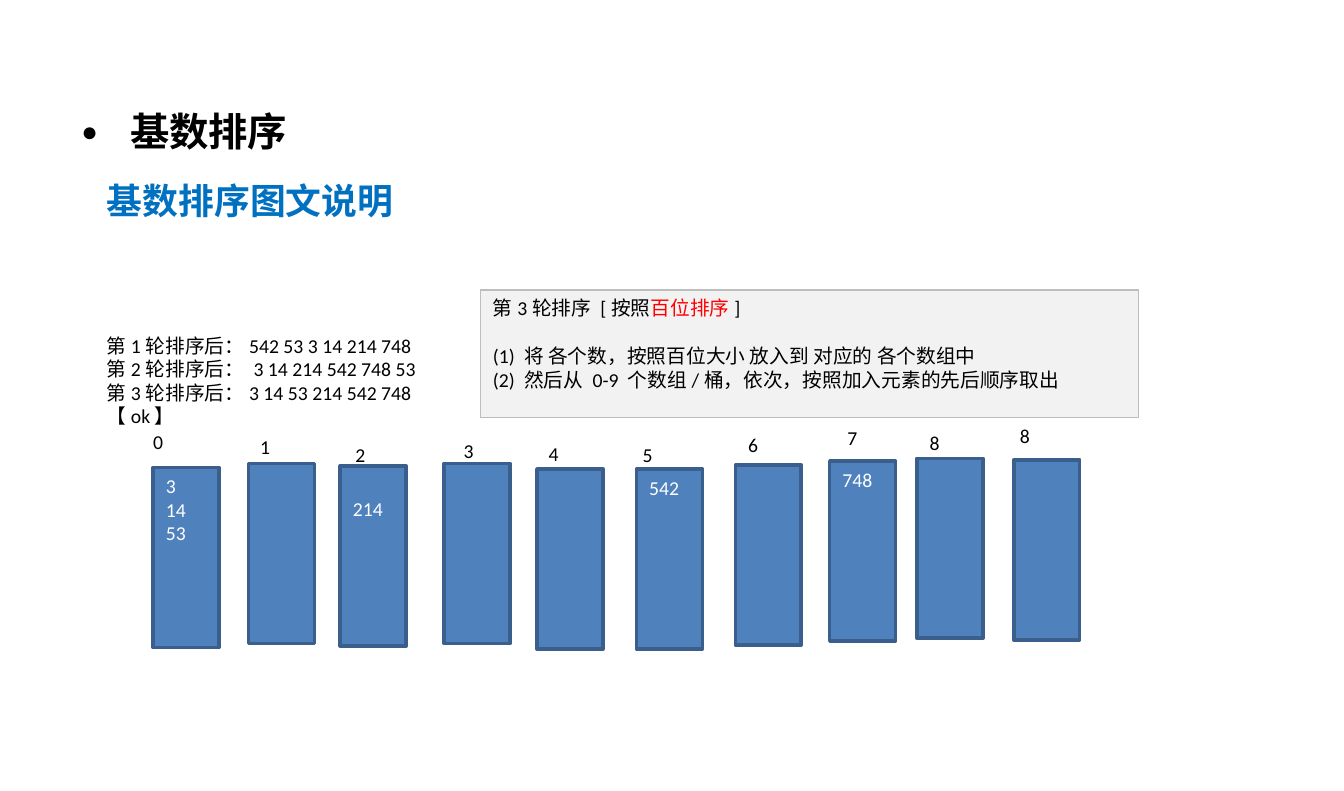
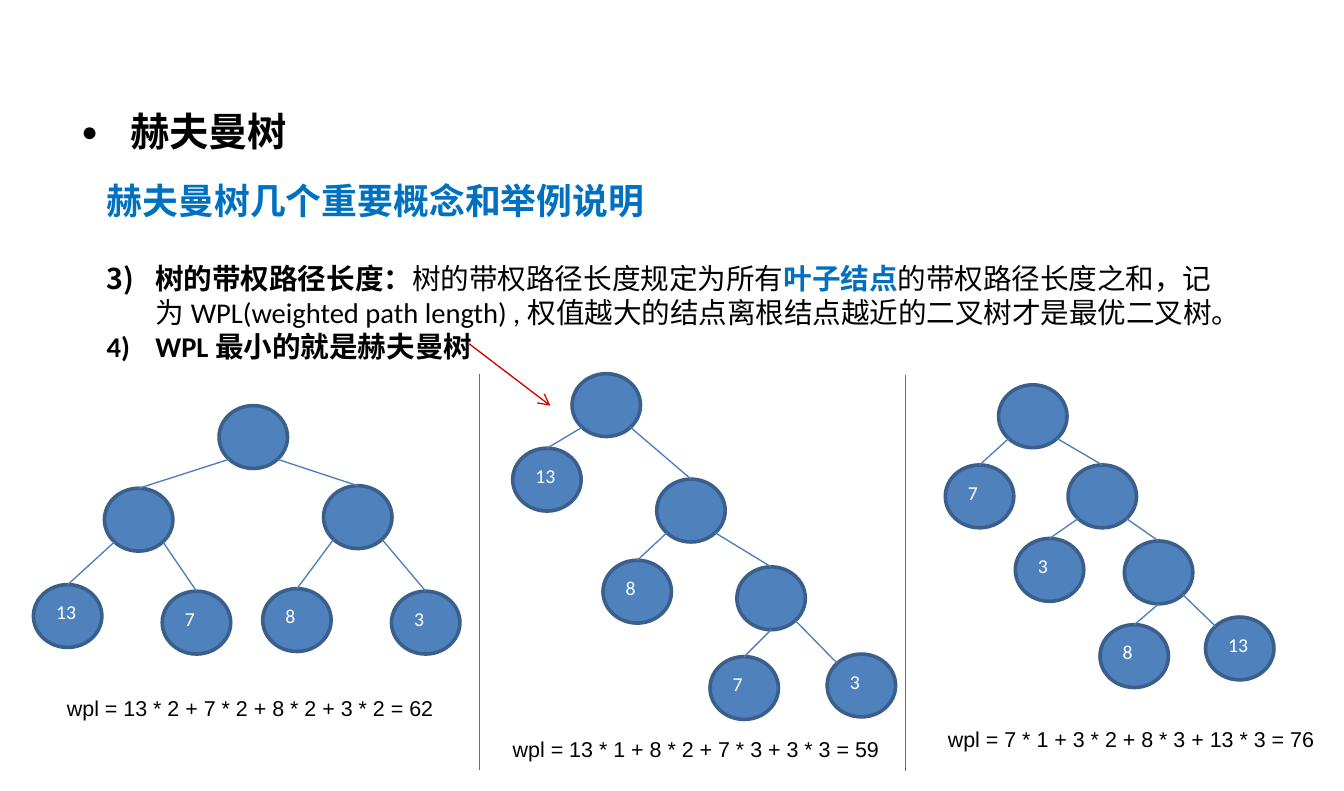
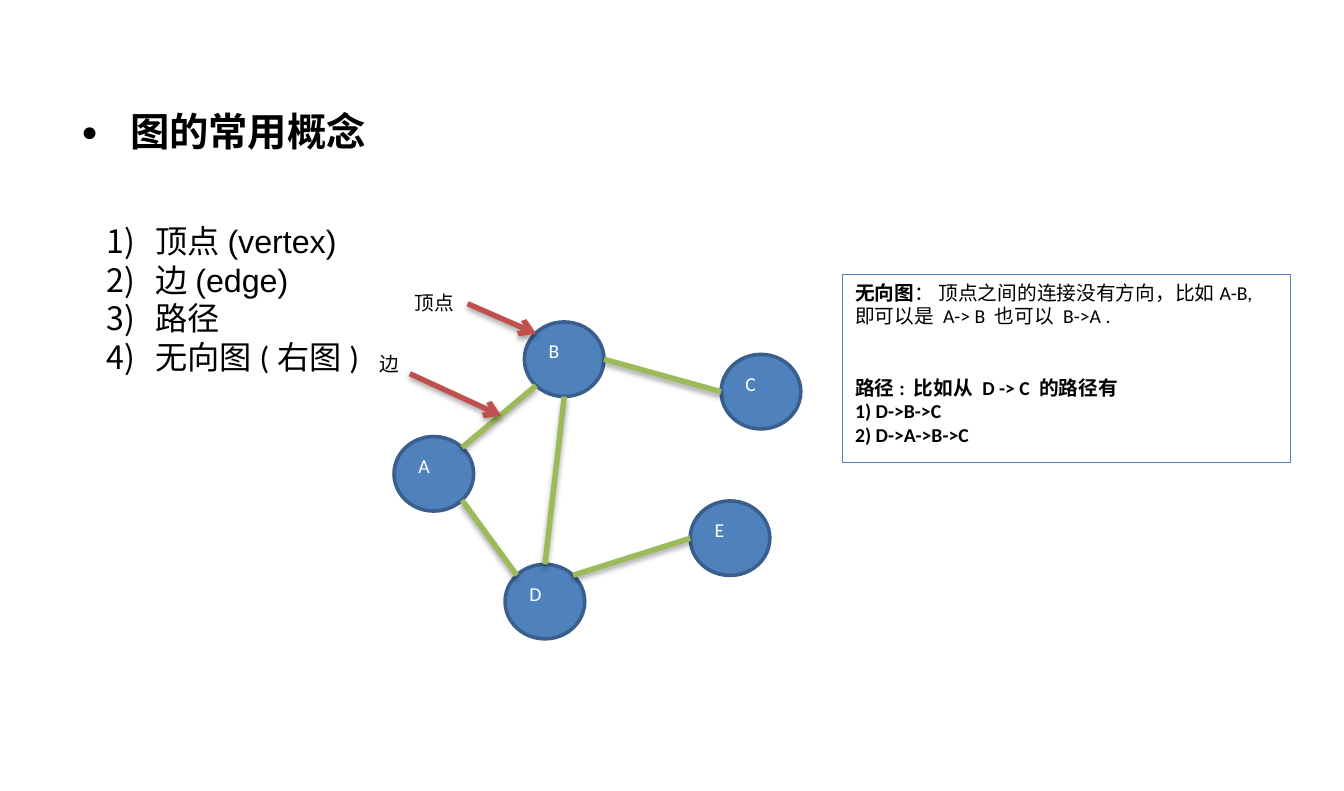
from math import cos, sin, radians

from lxml import etree
from pptx import Presentation
from pptx.dml.color import RGBColor as RGB
from pptx.enum.shapes import MSO_CONNECTOR as Link, MSO_SHAPE as Kind
from pptx.enum.text import MSO_ANCHOR as Anchor, MSO_AUTO_SIZE as Fit, PP_ALIGN as Align
from pptx.oxml import parse_xml
from pptx.oxml.ns import qn
from pptx.util import Cm, Pt

# Colours and fonts
BLACK, WHITE = RGB(0, 0, 0), RGB(255, 255, 255)
BLUE, RED = RGB(0x00, 0x70, 0xC0), RGB(0xFF, 0x00, 0x00)
FILL, EDGE = RGB(0x4F, 0x81, 0xBD), RGB(0x3A, 0x5F, 0x8C)
BRANCH, RULE = RGB(0x4B, 0x7E, 0xBC), RGB(0xBF, 0x4C, 0x48)
POINT, GREEN, BRICK = RGB(0xDA, 0, 0), RGB(0x9B, 0xBB, 0x59), RGB(0xC0, 0x50, 0x4D)
PALE, GREY = RGB(0xF2, 0xF2, 0xF2), RGB(0xBD, 0xBD, 0xBD)
SANS, TEXT = "Arial", "Calibri"
NS = 'xmlns:a="http://schemas.openxmlformats.org/drawingml/2006/main"'

# Sites on an ellipse, as angles clockwise from the right
TOP, TOP_L, LEFT, LOW_L, LOW, LOW_R, RIGHT, TOP_R = 270, 225, 180, 135, 90, 45, 0, 315

# Slide 1: radix sort; bucket = label, label place, box place, numbers
BUCKET = (1.3, 3.55)
BUCKETS = [
    ("0", (2.77, 8.36), (3.02, 9.22), ["3", "14", "53"]),
    ("1", (4.88, 8.46), (4.9, 9.14), []),
    ("2", (6.76, 8.61), (6.71, 9.19), ["214"]),
    ("3", (8.89, 8.53), (8.76, 9.14), []),
    ("4", (10.57, 8.59), (10.59, 9.25), []),
    ("5", (12.42, 8.61), (12.55, 9.25), ["542"]),
    ("6", (14.5, 8.41), (14.5, 9.17), []),
    ("7", (16.46, 8.28), (16.36, 9.09), ["748"]),
    ("8", (18.08, 8.38), (18.08, 9.04), []),
    ("8", (19.86, 8.23), (19.99, 9.07), []),
]
LOWER = {"2": 0.6}  # top inset of a bucket whose numbers start lower
STEPS = [
    [("第3轮排序 [按照",), ("百位排序", RED), ("]",)],
    "(1) 将 各个数，按照百位大小 放入到 对应的 各个数组中",
    "(2) 然后从 0-9 个数组/桶，依次，按照加入元素的先后顺序取出",
]
ROUNDS = [
    "第1轮排序后：542 53 3 14 214 748",
    "第2轮排序后： 3 14 214 542 748 53",
    "第3轮排序后：3 14 53 214 542 748 【ok】",
]

# Slide 2: Huffman trees; node = place, weight, (parent, site there, site here)
IDEAS = [
    [("树的带权路径长度：", BLACK, True), ("树的带权路径长度规定为所有",),
     ("叶子结点", BLUE, True),
     ("的带权路径长度之和，记为WPL(weighted path length) ,权值越大的结点离根结点越近的二叉树才是最优二叉树。",)],
    [("WPL最小的就是赫夫曼树", BLACK, True)],
]
NODE = (1.35, 1.24)
TREES = [
    [((4.32, 8), "", None),
     ((2.06, 9.63), "", (0, LOW_L, TOP)), ((6.38, 9.58), "", (0, LOW_R, TOP)),
     ((0.66, 11.53), "13", (1, LOW_L, TOP)), ((3.2, 11.66), "7", (1, LOW_R, TOP)),
     ((5.18, 11.61), "8", (2, LOW_L, TOP)), ((7.72, 11.66), "3", (2, LOW_R, TOP))],
    [((11.28, 7.37), "", None),
     ((10.11, 8.84), "13", (0, LOW_L, TOP)), ((12.95, 9.45), "", (0, LOW_R, TOP)),
     ((11.89, 11.05), "8", (2, LOW_L, TOP)), ((14.53, 11.18), "", (2, LOW_R, TOP)),
     ((14, 12.95), "7", (4, LOW, TOP)), ((16.31, 12.9), "3", (4, LOW_R, TOP_L))],
    [((19.69, 7.59), "", None),
     ((18.64, 9.17), "7", (0, LOW_L, TOP)), ((21.06, 9.17), "", (0, LOW_R, TOP)),
     ((20.02, 10.62), "3", (2, LOW_L, TOP)), ((22.17, 10.67), "", (2, LOW_R, TOP)),
     ((21.69, 12.32), "8", (4, LOW, TOP)), ((23.77, 12.17), "13", (4, LOW_R, TOP_L))],
]
SUMS = [
    ((1.07, 13.59), "wpl = 13 * 2 + 7 * 2 + 8 * 2 + 3 * 2 = 62"),
    ((9.86, 14.4), "wpl = 13 * 1 + 8 * 2 + 7 * 3 + 3 * 3 = 59"),
    ((18.44, 14.2), "wpl = 7 * 1 + 3 * 2 + 8 * 3 + 13 * 3 = 76"),
]
RULES = [(9.45, 7.37), (17.86, 7.39)]
DROP = 7.82

# Slide 3: graph
TERMS = [[("顶点(vertex)", BLACK, False, SANS)], [("边(edge)", BLACK, False, SANS)],
         "路径", "无向图(右图)"]
VERTEX = (1.57, 1.47)
VERTS = {"B": (10.34, 6.35), "A": (7.77, 8.61), "D": (9.96, 11.13),
         "E": (13.61, 9.88), "C": (14.22, 6.99)}
EDGES = [("A", LOW_R, "D", TOP_L), ("A", TOP_R, "B", LOW_L), ("B", RIGHT, "C", LEFT),
         ("B", LOW, "D", TOP), ("D", TOP_R, "E", LEFT)]
NOTES = [
    [("无向图", BLACK, True), ("： 顶点之间的连接没有方向，比如A-B,",)],
    "即可以是 A-> B 也可以 B->A .",
    [("路径: 比如从 D -> C 的路径有", BLACK, True)],
    [("1) D->B->C", BLACK, True)],
    [("2) D->A->B->C", BLACK, True)],
]
# label, place, width, arrow from, arrow to
TAGS = [("顶点", (7.92, 5.61), 1.3, (9.22, 5.99), (10.57, 6.58)),
        ("边", (7.24, 6.81), 0.91, (8.08, 7.37), (9.88, 8.2))]


def write(frame, paras, size=11, color=BLACK, font=TEXT, gaps=None):
    """Fill a frame; a run is (text, colour, bold, font), gaps maps index to points."""
    frame.auto_size = Fit.NONE
    frame.vertical_anchor = Anchor.TOP
    for i, para in enumerate(paras):
        p = frame.paragraphs[0] if i == 0 else frame.add_paragraph()
        p.alignment = Align.LEFT
        p.space_before = Pt((gaps or {}).get(i, 0))
        for text, *look in [(para,)] if isinstance(para, str) else para:
            tone, bold, face = look + [color, False, font][len(look):]
            run = p.add_run()
            run.text = text
            run.font.size, run.font.bold, run.font.name = Pt(size), bold, face
            run.font.color.rgb = tone


def mark(p, *tags, hang=0.0):
    """Give a paragraph its bullet and hanging indent."""
    props = p._p.get_or_add_pPr()
    props.set("marL", str(Cm(hang)))
    props.set("indent", str(-Cm(hang)))
    for tag in tags:
        props.append(parse_xml(tag.replace("/>", f" {NS}/>", 1)))


def number(p, start):
    mark(p, f'<a:buFont typeface="{TEXT}"/>',
         f'<a:buAutoNum type="arabicParenR" startAt="{start}"/>', hang=0.96)


def page(deck, title, place, size):
    """Add a slide with its bulleted title; return it and the body frame."""
    slide = deck.slides.add_slide(deck.slide_layouts[1])
    head, body = slide.placeholders
    write(head.text_frame, [[(title, BLACK, True)]], 22, font=SANS)
    p = head.text_frame.paragraphs[0]
    p.line_spacing = 0.9
    mark(p, f'<a:buClr {NS}><a:srgbClr val="000000"/></a:buClr>'.replace(f" {NS}", "", 1)
         .replace("<a:buClr>", f"<a:buClr {NS}>"),
         '<a:buSzPct val="70000"/>', f'<a:buFont typeface="{SANS}"/>',
         '<a:buChar char="●"/>', hang=0.96)
    body.left, body.top, body.width, body.height = map(Cm, place + size)
    return slide, body.text_frame


def label(slide, text, place, size, pt=11, font=TEXT, wrap=False):
    box = slide.shapes.add_textbox(*map(Cm, place + size))
    box.text_frame.word_wrap = wrap
    write(box.text_frame, text, pt, font=font)


def block(slide, kind, place, size, fill=FILL, edge=EDGE, width=2.0):
    shape = slide.shapes.add_shape(kind, *map(Cm, place + size))
    shape.shadow.inherit = False
    if fill is None:
        shape.fill.background()
    else:
        shape.fill.solid()
        shape.fill.fore_color.rgb = fill
    shape.line.color.rgb, shape.line.width = edge, Pt(width)
    return shape


def line(slide, start, end, color, width=0.75, arrow=False, shade=False):
    link = slide.shapes.add_connector(Link.STRAIGHT, *map(Cm, start + end))
    link.line.color.rgb, link.line.width = color, Pt(width)
    props = link._element.spPr
    if arrow:
        etree.SubElement(props.find(qn("a:ln")), qn("a:tailEnd"), type="arrow")
    glow = etree.SubElement(props, qn("a:effectLst"))
    if shade:
        glow.append(parse_xml(
            f'<a:outerShdw {NS} blurRad="{Pt(3.1)}" dist="{Pt(1.8)}" dir="5400000" '
            'rotWithShape="0"><a:srgbClr val="000000"><a:alpha val="35000"/>'
            '</a:srgbClr></a:outerShdw>'))


def site(place, size, angle):
    """Point on the ellipse that fills the given box."""
    turn = radians(angle)
    return (place[0] + size[0] / 2 * (1 + cos(turn)),
            place[1] + size[1] / 2 * (1 + sin(turn)))


def radix(deck):
    slide, body = page(deck, "基数排序", (1.85, 3.4), (22.6, 1.9))
    write(body, [[("基数排序图文说明", BLUE, True)]], 20, font=SANS)
    mark(body.paragraphs[0], "<a:buNone/>")
    for name, spot, place, nums in BUCKETS:
        box = block(slide, Kind.RECTANGLE, place, BUCKET)
        if nums:
            write(box.text_frame, nums, color=WHITE)
            box.text_frame.margin_top = Cm(LOWER.get(name, 0.13))
        label(slide, [name], spot, (0.71, 0.74))
    info = block(slide, Kind.RECTANGLE, (9.47, 5.72), (12.98, 2.51), PALE, GREY, 0.75)
    write(info.text_frame, STEPS, gaps={1: 13.4})
    label(slide, ROUNDS, (1.85, 6.45), (7.34, 1.78), wrap=True)


def huffman(deck):
    slide, body = page(deck, "赫夫曼树", (1.85, 3.4), (22.4, 4.7))
    write(body, [], 16)
    write(body, [[("赫夫曼树几个重要概念和举例说明", BLUE, True)]] + IDEAS, 16, gaps={1: 21.6})
    first, *rest = body.paragraphs
    first.runs[0].font.size = Pt(20)
    mark(first, "<a:buNone/>")
    for p in rest:
        number(p, 3)
    for tree in TREES:
        for place, text, up in tree:
            node = block(slide, Kind.OVAL, place, NODE)
            if text:
                write(node.text_frame, [text], color=WHITE)
            if up:
                root, out, into = up
                line(slide, site(tree[root][0], NODE, out), site(place, NODE, into), BRANCH)
    for place, text in SUMS:
        label(slide, [text], place, (7.82, 0.76), 12, SANS)
    for x, y in RULES:
        line(slide, (x, y), (x, y + DROP), RULE)
    line(slide, (9.25, 6.78), (10.85, 8), POINT, arrow=True)


def graph(deck):
    slide, body = page(deck, "图的常用概念", (1.85, 4.24), (6.1, 3.3))
    write(body, TERMS, 18)
    for p in body.paragraphs:
        number(p, 1)
    for name, place in VERTS.items():
        write(block(slide, Kind.OVAL, place, VERTEX).text_frame, [name], color=WHITE)
    for a, out, b, into in EDGES:
        line(slide, site(VERTS[a], VERTEX, out), site(VERTS[b], VERTEX, into),
             GREEN, 3, shade=True)
    box = block(slide, Kind.RECTANGLE, (16.61, 5.41), (8.84, 3.71), None, FILL, 0.75)
    write(box.text_frame, NOTES, gaps={2: 26.6})
    for text, place, width, start, end in TAGS:
        label(slide, [text], place, (width, 0.76))
        line(slide, start, end, BRICK, 3, arrow=True, shade=True)


def main():
    deck = Presentation()
    deck.slide_width, deck.slide_height = Cm(26.5), Cm(15.6)
    # Shared title place
    head = deck.slide_layouts[1].placeholders[0]
    head.left, head.top, head.width, head.height = map(Cm, (1.35, 2.1, 21.1, 1.1))
    for build in (radix, huffman, graph):
        build(deck)
    deck.save("out.pptx")


if __name__ == "__main__":
    main()
